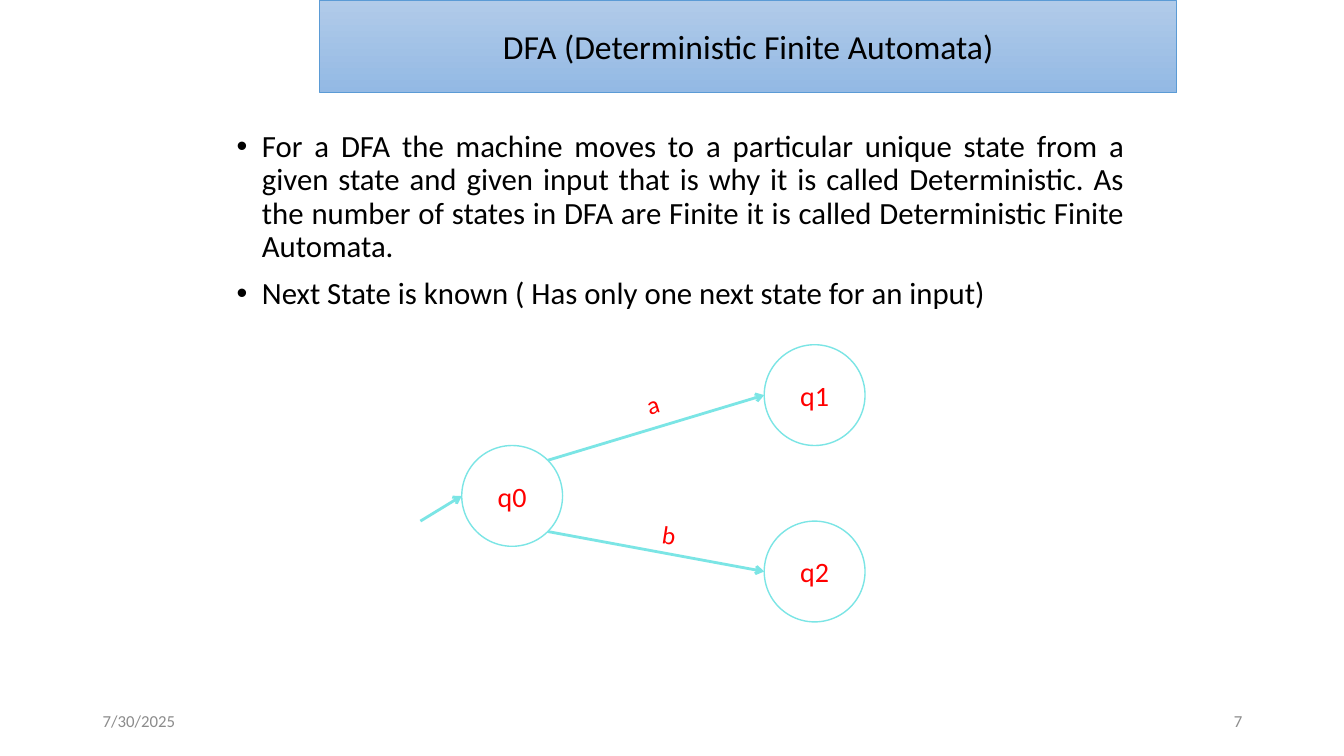
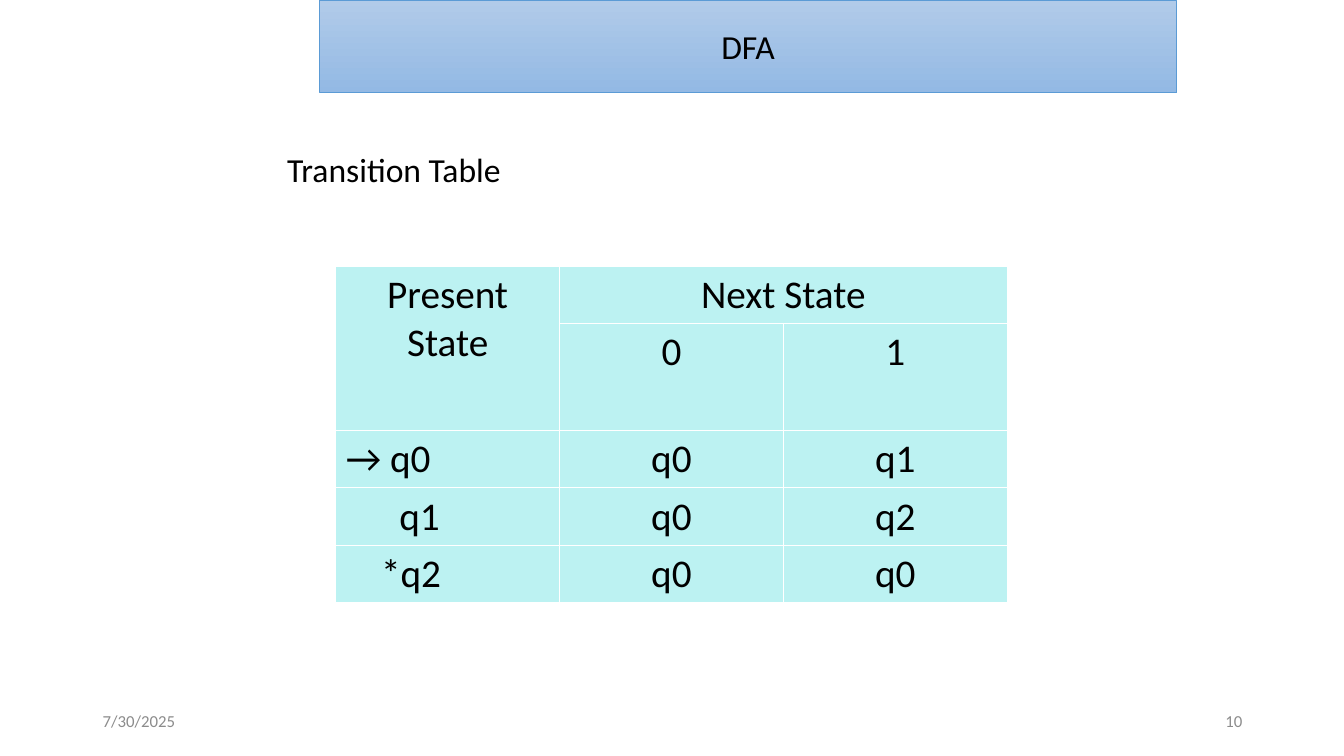
from math import cos, radians, sin

from lxml.etree import SubElement
from pptx import Presentation
from pptx.dml.color import RGBColor
from pptx.enum.shapes import MSO_CONNECTOR as Link, MSO_SHAPE as Shape
from pptx.enum.text import MSO_ANCHOR as Anchor, PP_ALIGN as Align
from pptx.oxml.ns import qn
from pptx.util import Inches, Pt

BLACK = RGBColor(0x00, 0x00, 0x00)
WHITE = RGBColor(0xFF, 0xFF, 0xFF)
GREY = RGBColor(0x8C, 0x8C, 0x8C)
RED = RGBColor(0xFF, 0x00, 0x00)
AQUA = RGBColor(0x7B, 0xE5, 0xE5)
PALE_AQUA = RGBColor(0xBC, 0xF2, 0xF2)
BAND_TOP = RGBColor(0xB1, 0xCB, 0xE9)
BAND_BOTTOM = RGBColor(0x93, 0xB9, 0xE4)
BAND_EDGE = RGBColor(0x5B, 0x9B, 0xD5)
FONT = "Calibri"

DATE = "7/30/2025"
POINTS = [
    "For a DFA the machine moves to a particular unique state from a given state and given input "
    "that is why it is called Deterministic. As the number of states in DFA are Finite it is "
    "called Deterministic Finite Automata.",
    "Next State is known ( Has only one next state for an input)",
]
STATE_SIZE = 1
STATES = {"q0": (4.58, 4.42), "q2": (7.58, 5.17), "q1": (7.58, 3.42)}
START = (4.17, 5.17)
TRANSITIONS = [
    ("q0", -45, "q1", "a", (6.3, 3.71), -16.6),
    ("q0", 45, "q2", "b", (6.47, 5.16), 8.9),
]

TABLE_HEADING = "Transition Table"
TRANSITION_ROWS = [
    ("Present State", "Next State", ""),
    ("", "0", "1"),
    ("→ q0", "q0", "q1"),
    ("q1", "q0", "q2"),
    ("*q2", "q0", "q0"),
]
ROW_HEIGHTS = [0.57, 1.06, 0.57, 0.57, 0.57]
COLUMN_WIDTH = 2.22
STATE_INDENTS = {2: 0.1, 3: 0.63, 4: 0.45}


def style(paragraph, size, color=BLACK, align=Align.LEFT):
    paragraph.alignment = align
    font = paragraph.font
    font.name, font.size, font.color.rgb = FONT, Pt(size), color


def add_text(slide, box, texts, size, color=BLACK, align=Align.LEFT, anchor=Anchor.TOP):
    frame = slide.shapes.add_textbox(*map(Inches, box)).text_frame
    frame.word_wrap = True
    frame.vertical_anchor = anchor
    frame.text = "\n".join(texts)
    for paragraph in frame.paragraphs:
        style(paragraph, size, color, align)
    return frame


def add_labelled_shape(slide, kind, box, text, size, color, edge, edge_width):
    shape = slide.shapes.add_shape(kind, *map(Inches, box))
    shape.shadow.inherit = False
    shape.fill.background()
    shape.line.color.rgb = edge
    shape.line.width = Pt(edge_width)
    shape.text_frame.text = text
    shape.text_frame.vertical_anchor = Anchor.MIDDLE
    style(shape.text_frame.paragraphs[0], size, color, Align.CENTER)
    return shape


def add_slide(deck, title, number):
    slide = deck.slides.add_slide(deck.slide_layouts[6])
    band = add_labelled_shape(slide, Shape.RECTANGLE, (3.17, 0, 8.5, 0.92), title, 24, BLACK,
                              BAND_EDGE, 0.5)
    band.fill.gradient()
    band.fill.gradient_angle = 270
    for stop, color in zip(band.fill.gradient_stops, (BAND_TOP, BAND_BOTTOM)):
        stop.color.rgb = color
    for left, text, align in ((0.92, DATE, Align.LEFT), (9.42, number, Align.RIGHT)):
        add_text(slide, (left, 6.95, 3, 0.4), [text], 12, GREY, align, Anchor.MIDDLE)
    return slide


def add_bullets(slide, box, points, size):
    frame = add_text(slide, box, points, size, align=Align.JUSTIFY)
    for index, paragraph in enumerate(frame.paragraphs):
        paragraph.line_spacing = 0.9
        paragraph.space_before = Pt(10 if index else 0)
        properties = paragraph._p.get_or_add_pPr()
        properties.set("marL", str(Inches(0.25)))
        properties.set("indent", str(-Inches(0.25)))
        font = SubElement(properties, qn("a:buFont"), typeface="Arial")
        font.addnext(properties.makeelement(qn("a:buChar"), {"char": "•"}))
        defaults = properties.find(qn("a:defRPr"))
        if defaults is not None:
            properties.append(defaults)


def add_arrow(slide, start, end):
    arrow = slide.shapes.add_connector(Link.STRAIGHT, *map(Inches, (*start, *end)))
    arrow.line.color.rgb = AQUA
    arrow.line.width = Pt(2)
    SubElement(arrow.line._get_or_add_ln(), qn("a:tailEnd"), type="arrow")
    SubElement(arrow._element.spPr, qn("a:effectLst"))


def state_edge(state, angle):
    radius = STATE_SIZE / 2
    left, top = STATES[state]
    turn = radians(angle)
    return left + radius * (1 + cos(turn)), top + radius * (1 + sin(turn))


def add_automaton(slide):
    for state, corner in STATES.items():
        add_labelled_shape(slide, Shape.OVAL, (*corner, STATE_SIZE, STATE_SIZE), state, 20, RED,
                           AQUA, 1)
    add_arrow(slide, START, state_edge("q0", 180))
    for source, angle, target, symbol, corner, tilt in TRANSITIONS:
        add_arrow(slide, state_edge(source, angle), state_edge(target, 180))
        label = slide.shapes.add_textbox(*map(Inches, (*corner, 1, 0.4)))
        label.rotation = tilt
        label.text_frame.word_wrap = True
        label.text_frame.text = symbol
        style(label.text_frame.paragraphs[0], 18, RED)


def add_borders(cell):
    properties = cell._tc.get_or_add_tcPr()
    for side in ("lnL", "lnR", "lnT", "lnB"):
        line = SubElement(properties, qn(f"a:{side}"), w=str(Pt(1)))
        fill = SubElement(line, qn("a:solidFill"))
        SubElement(fill, qn("a:srgbClr"), val=str(WHITE))


def add_transition_table(slide):
    columns = len(TRANSITION_ROWS[0])
    box = (3.33, 2.64, COLUMN_WIDTH * columns, sum(ROW_HEIGHTS))
    table = slide.shapes.add_table(len(TRANSITION_ROWS), columns, *map(Inches, box)).table
    table.first_row = table.horz_banding = False
    for column in table.columns:
        column.width = Inches(COLUMN_WIDTH)
    for r, (texts, height) in enumerate(zip(TRANSITION_ROWS, ROW_HEIGHTS)):
        table.rows[r].height = Inches(height)
        for c, text in enumerate(texts):
            cell = table.cell(r, c)
            add_borders(cell)
            cell.fill.solid()
            cell.fill.fore_color.rgb = PALE_AQUA
            cell.text = text
            is_state = c == 0 and r in STATE_INDENTS
            if is_state:
                cell.margin_left = Inches(STATE_INDENTS[r])
            style(cell.text_frame.paragraphs[0], 28,
                  align=Align.LEFT if is_state else Align.CENTER)
    table.cell(0, 0).merge(table.cell(1, 0))
    table.cell(0, 1).merge(table.cell(0, 2))


def main():
    deck = Presentation()
    deck.slide_width, deck.slide_height = Inches(13.33), Inches(7.5)

    definition = add_slide(deck, "DFA (Deterministic Finite Automata)", "7")
    add_bullets(definition, (2.25, 1.25, 9, 2), POINTS, 22)
    add_automaton(definition)

    transitions = add_slide(deck, "DFA", "10")
    heading = add_text(transitions, (2.75, 1.47, 8.5, 0.5), [TABLE_HEADING], 24)
    heading.paragraphs[0].line_spacing = 0.9
    add_transition_table(transitions)

    deck.save("out.pptx")


if __name__ == "__main__":
    main()
